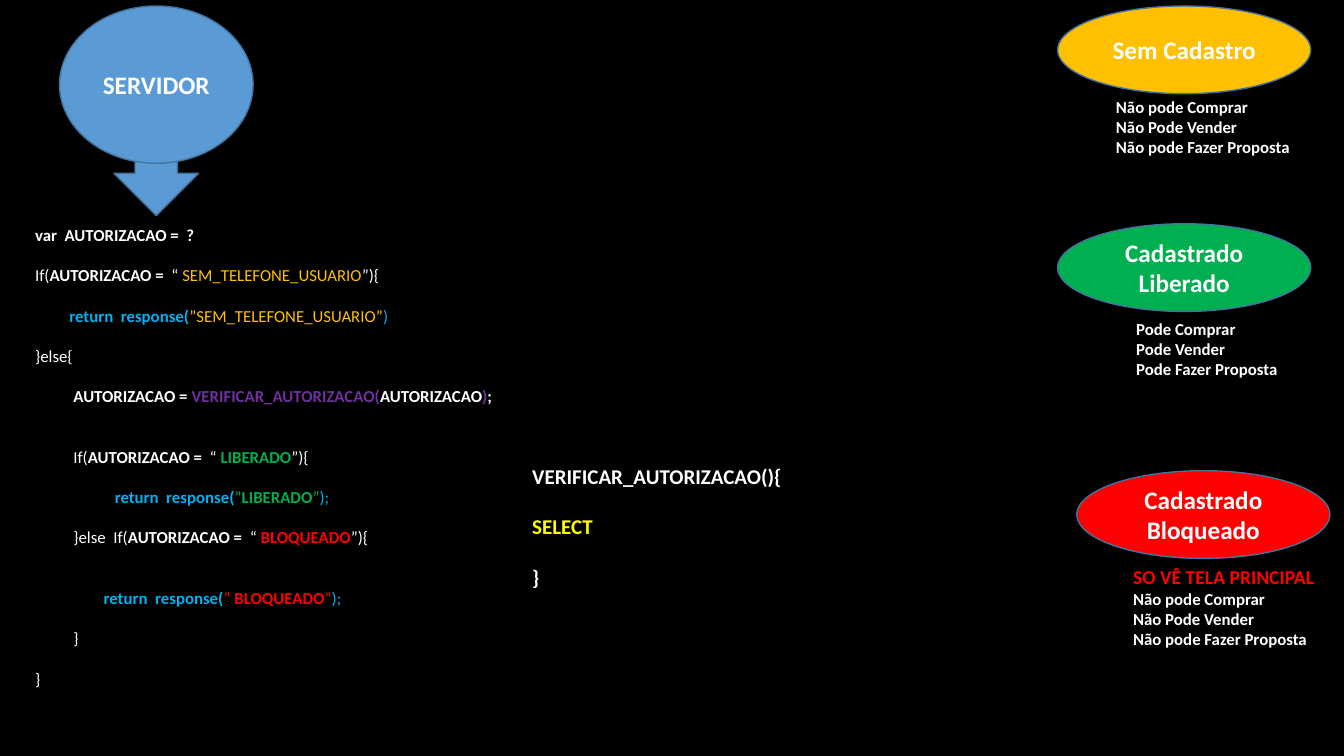
from pptx import Presentation
from pptx.dml.color import RGBColor
from pptx.enum.shapes import MSO_SHAPE
from pptx.enum.text import MSO_ANCHOR, PP_ALIGN
from pptx.util import Inches, Pt

OVAL, DOWN_ARROW = MSO_SHAPE.OVAL, MSO_SHAPE.DOWN_ARROW
MIDDLE, CENTER = MSO_ANCHOR.MIDDLE, PP_ALIGN.CENTER

FONT = "Calibri"
BLACK, WHITE, YELLOW = "000000", "FFFFFF", "FFFF00"
AMBER, GREEN, RED = "FFC000", "00B050", "FF0000"
SKY, PURPLE, BLUE, OUTLINE = "00B0F0", "7030A0", "5B9BD5", "43739E"

DENIED = ["Não pode Comprar", "Não Pode Vender", "Não pode Fazer Proposta"]
ALLOWED = ["Pode Comprar", "Pode Vender", "Pode Fazer Proposta"]

STATES = [
    ("Sem Cadastro", AMBER, (10.49, 0.06), None, DENIED, (10.97, 0.91, 1.93, 0.71)),
    ("Cadastrado Liberado", GREEN, (10.49, 2.22), None, ALLOWED, (11.17, 3.11, 1.69, 0.71)),
    ("Cadastrado Bloqueado", RED, (10.68, 4.67), "SO VÊ TELA PRINCIPAL", DENIED,
     (11.14, 5.56, 2.4, 0.94)),
]
STATE_SIZE = (2.51, 0.87)


def condition(opening, status, color, bold):
    return [(opening, WHITE, False), ("AUTORIZACAO =", WHITE, True), ("  “ ", WHITE, False),
            (status, color, bold), ("”){", WHITE, False)]


def answer(status, color, bold, closing):
    return [("return  response(", SKY, True), ("”", color, False), (status, color, bold),
            ("”", color, False), (closing, SKY, False)]


SERVER_CODE = [
    (0, 0, [("var  AUTORIZACAO =  ?", WHITE, True)]),
    (0, 1, condition("If(", "SEM_TELEFONE_USUARIO", AMBER, False)),
    (0.34, 1, answer("SEM_TELEFONE_USUARIO", AMBER, False, ")")),
    (0, 1, [("}else{", WHITE, False)]),
    (0.38, 1, [("AUTORIZACAO = ", WHITE, True), ("VERIFICAR_AUTORIZACAO(", PURPLE, True),
               ("AUTORIZACAO", WHITE, True), (")", PURPLE, True), (";", WHITE, True)]),
    (0.38, 2, condition("If(", "LIBERADO", GREEN, True)),
    (0.79, 1, answer("LIBERADO", GREEN, True, ");")),
    (0.38, 1, condition("}else  If(", "BLOQUEADO", RED, True)),
    (0.68, 2, answer(" BLOQUEADO", RED, True, ");")),
    (0.38, 1, [("}", WHITE, False)]),
    (0, 1, [("}", WHITE, False)]),
]
CHECK_CODE = [
    (0, 0, [("VERIFICAR_AUTORIZACAO(){", WHITE, True)]),
    (0, 1, [("SELECT", YELLOW, True)]),
    (0, 1, [("}", WHITE, True)]),
]


def rgb(color):
    return RGBColor.from_string(color)


def style(r, size, color, bold):
    r.font.name, r.font.size, r.font.bold = FONT, Pt(size), bold
    r.font.color.rgb = rgb(color)


def add_figure(slide, kind, box, fill, label=None):
    sp = slide.shapes.add_shape(kind, *map(Inches, box))
    sp.shadow.inherit = False
    sp.fill.solid()
    sp.fill.fore_color.rgb = rgb(fill)
    sp.line.color.rgb = rgb(OUTLINE)
    sp.line.width = Pt(1)
    if label:
        tf = sp.text_frame
        tf.text = label
        tf.vertical_anchor = MIDDLE
        p = tf.paragraphs[0]
        p.alignment = CENTER
        style(p.runs[0], 18, WHITE, True)


def add_lines(slide, box, lines):
    tf = slide.shapes.add_textbox(*map(Inches, box)).text_frame
    tf.word_wrap = True
    for i, (indent, gap, size, runs) in enumerate(lines):
        p = tf.add_paragraph() if i else tf.paragraphs[0]
        p.space_before = Pt(gap * size * 1.2)
        if indent:
            p._p.get_or_add_pPr().set("marL", str(Inches(indent)))
        for text, color, bold in runs:
            r = p.add_run()
            r.text = text
            style(r, size, color, bold)


def add_code(slide, box, size, code):
    add_lines(slide, box, [(indent, gap, size, runs) for indent, gap, runs in code])


def main():
    prs = Presentation()
    prs.slide_width, prs.slide_height = Inches(13.33), Inches(7.5)
    slide = prs.slides.add_slide(prs.slide_layouts[6])
    slide.background.fill.solid()
    slide.background.fill.fore_color.rgb = rgb(BLACK)

    for name, color, corner, warning, rights, box in STATES:
        add_figure(slide, OVAL, corner + STATE_SIZE, color, name)
        lines = [(0, 0, 14, [(warning, RED, True)])] if warning else []
        lines += [(0, 0, 12, [(right, WHITE, True)]) for right in rights]
        add_lines(slide, box, lines)

    add_figure(slide, DOWN_ARROW, (1.13, 1.1, 0.84, 1.04), BLUE)
    add_figure(slide, OVAL, (0.59, 0.06, 1.92, 1.56), BLUE, "SERVIDOR")
    add_code(slide, (0.25, 2.18, 4.94, 4.75), 12, SERVER_CODE)
    add_code(slide, (5.18, 4.55, 3.71, 1.36), 15, CHECK_CODE)
    prs.save("out.pptx")


if __name__ == "__main__":
    main()
